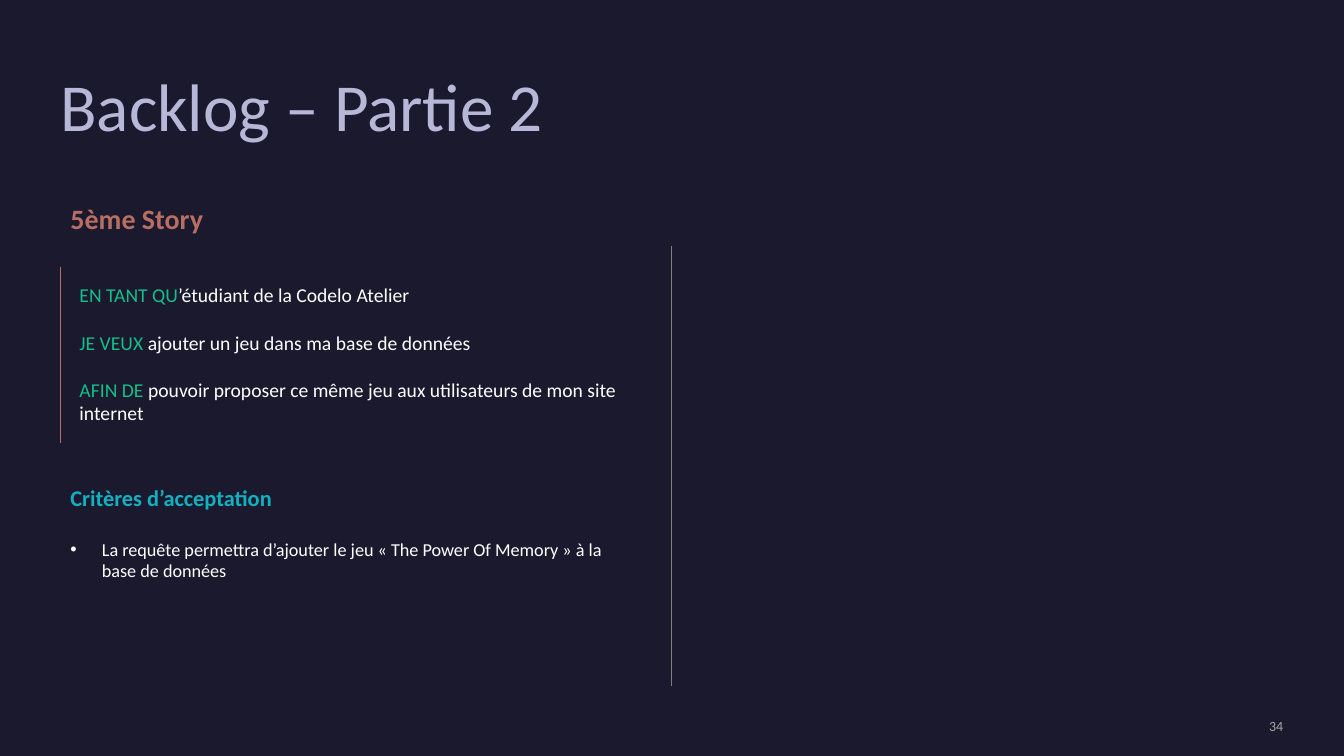
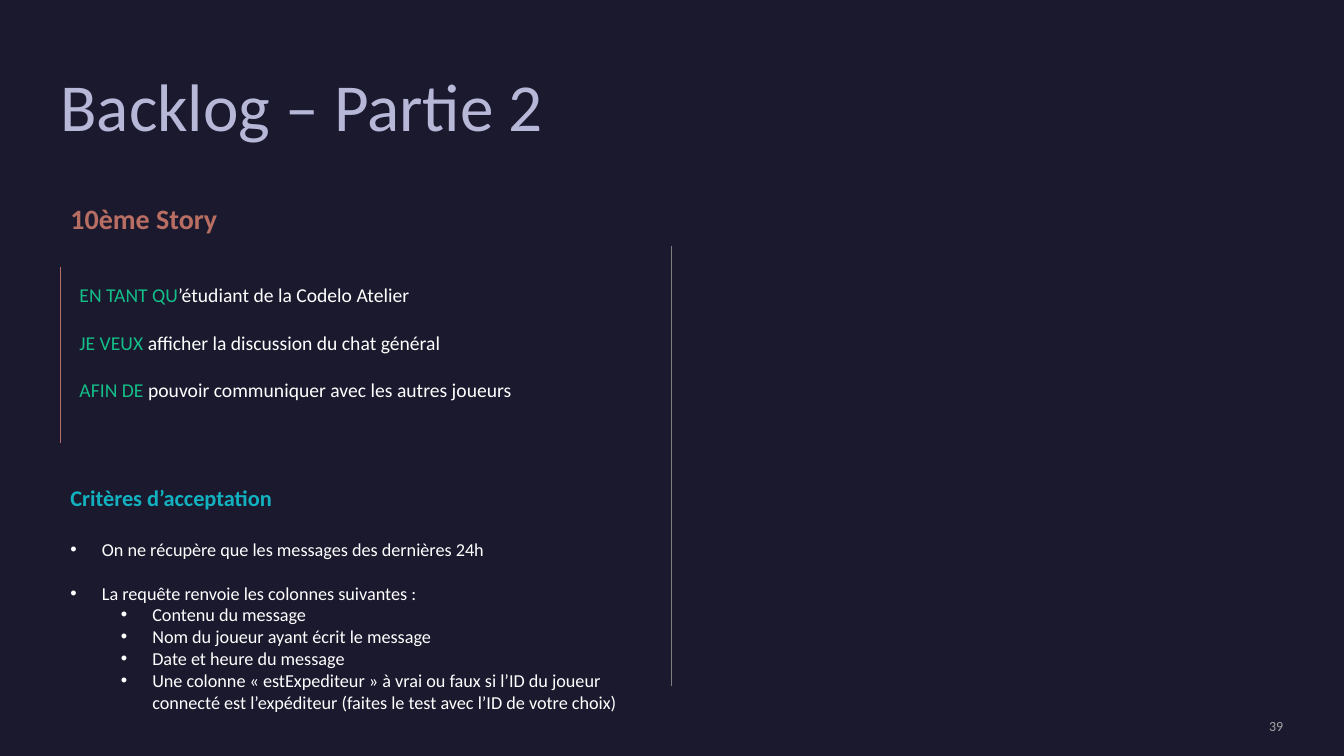
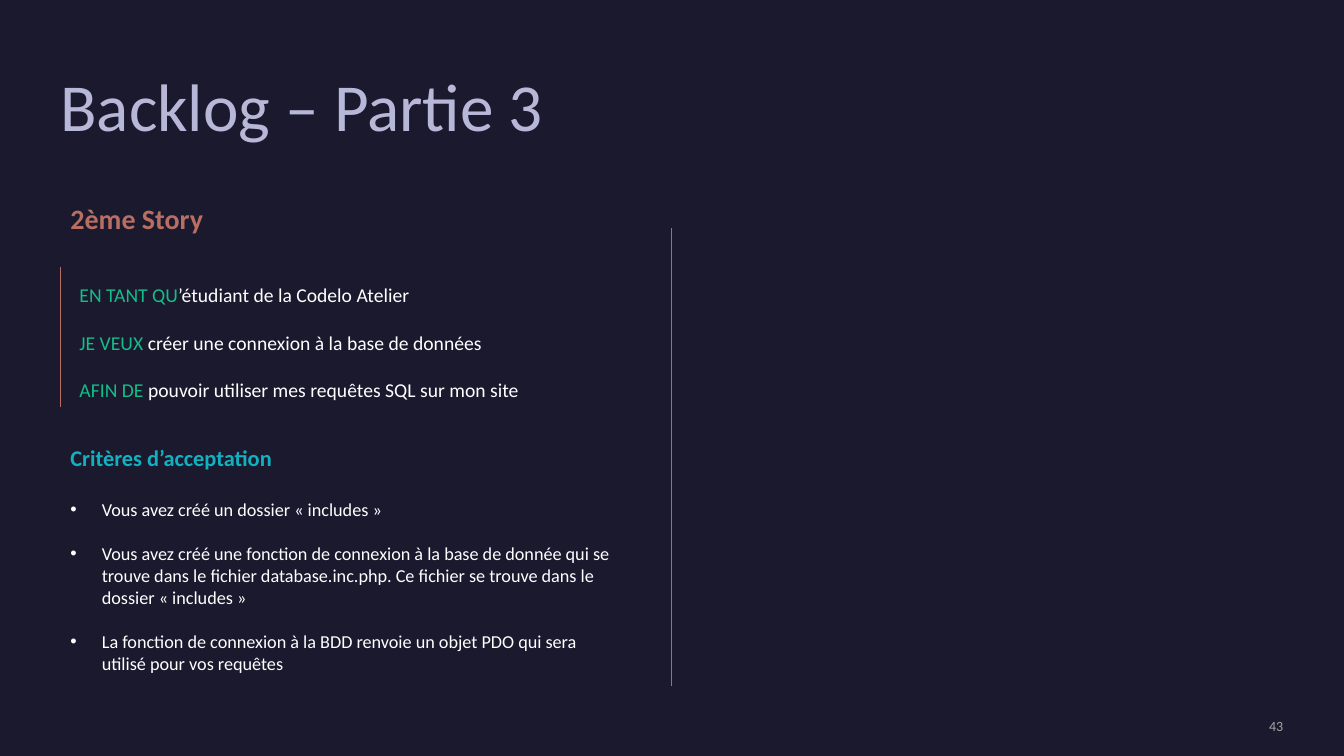
"""Build three dark backlog slides, each with one user story and its acceptance criteria."""
from lxml import etree
from pptx import Presentation
from pptx import util as u
from pptx.dml import color
from pptx.enum import shapes, text
from pptx.oxml import ns

Pt = u.Pt
NIGHT, LILAC, GREY, RULE = "1B192E", "B7B7D8", "A5A5A5", "7F7F7F"
RUST, GREEN, TEAL, WHITE = "B86E62", "13BE89", "12B1BF", "FFFFFF"
LEFT = 43.2
STARTS = ["EN TANT QU", "JE VEUX ", "AFIN DE "]
WHO = "’étudiant de la Codelo Atelier"

DECK = [
    dict(title="Backlog – Partie 2", page="34", name="5ème Story",
         story=[WHO, "ajouter un jeu dans ma base de données",
                "pouvoir proposer ce même jeu aux utilisateurs de mon site internet"],
         tall=108.7, bar=316.1, top=342, wide=408.2, deep=93.6, rule=175.7,
         items=[(0, "La requête permettra d’ajouter le jeu « The Power Of Memory » "
                    "à la base de données")]),
    dict(title="Backlog – Partie 2", page="39", name="10ème Story",
         story=[WHO, "afficher la discussion du chat général",
                "pouvoir communiquer avec les autres joueurs"],
         tall=92.2, bar=316.1, top=342, wide=424.1, deep=172.1, rule=175.7,
         items=[(0, "On ne récupère que les messages des dernières 24h"),
                (0, "La requête renvoie les colonnes suivantes :"),
                (1, "Contenu du message"),
                (1, "Nom du joueur ayant écrit le message"),
                (1, "Date et heure du message"),
                (1, "Une colonne « estExpediteur » à vrai ou faux si l’ID du joueur connecté "
                    "est l’expéditeur (faites le test avec l’ID de votre choix)")]),
    dict(title="Backlog – Partie 3", page="43", name="2ème Story",
         story=[WHO, "créer une connexion à la base de données",
                "pouvoir utiliser mes requêtes SQL sur mon site"],
         tall=92.2, bar=290.9, top=313.9, wide=408.2, deep=187.9, rule=162.7,
         items=[(0, "Vous avez créé un dossier « includes »"),
                (0, "Vous avez créé une fonction de connexion à la base de donnée qui se trouve "
                    "dans le fichier database.inc.php. Ce fichier se trouve dans le dossier "
                    "« includes »"),
                (0, "La fonction de connexion à la BDD renvoie un objet PDO qui sera utilisé "
                    "pour vos requêtes")]),
]


def hue(code):
    """Turn a hex string into a colour."""
    return color.RGBColor.from_string(code)


def write(slide, place, pad, paras):
    """Add a text box; each paragraph is a format dict and a list of (text, size, colour, bold)."""
    box = slide.shapes.add_textbox(*map(Pt, place))
    frame = box.text_frame
    look = dict(word_wrap=True, margin_left=Pt(2 * pad), margin_right=Pt(2 * pad),
                margin_top=Pt(pad), margin_bottom=Pt(pad))
    if pad:
        look["auto_size"] = text.MSO_AUTO_SIZE.SHAPE_TO_FIT_TEXT
    for key, val in look.items():
        setattr(frame, key, val)
    for n, (form, runs) in enumerate(paras):
        par = frame.add_paragraph() if n else frame.paragraphs[0]
        for key, val in form.items():
            setattr(par, key, val)
        for words, size, tint, bold in runs:
            run = par.add_run()
            run.text = words
            run.font.color.rgb = hue(tint)
            for key, val in dict(name="Calibri", size=Pt(size), bold=bold).items():
                setattr(run.font, key, val)
    return frame


prs = Presentation()
prs.slide_width, prs.slide_height = Pt(960), Pt(540)
fill = prs.slide_master.background.fill
fill.solid()
fill.fore_color.rgb = hue(NIGHT)

for card in DECK:
    slide = prs.slides.add_slide(prs.slide_layouts[6])

    write(slide, (LEFT, 52.56, 708.5, 123.1), 0,
          [(dict(line_spacing=0.9), [(card["title"], 48, LILAC, False)])])
    page = write(slide, (783.4, 512.6, 133.2, 12.24), 0,
                 [(dict(alignment=text.PP_ALIGN.RIGHT), [(card["page"], 10, GREY, False)])])
    page.vertical_anchor = text.MSO_ANCHOR.MIDDLE
    write(slide, (LEFT, 140.4, 461.5, 31.7), 3.6,
          [({}, [(card["name"], 20, RUST, True)])])

    story = [(dict(space_before=Pt(17 if n else 0)),
              [(start, 14, GREEN, False), (rest, 14, WHITE, False)])
             for n, (start, rest) in enumerate(zip(STARTS, card["story"]))]
    write(slide, (49.7, 198.7, 401.8, card["tall"]), 3.6, story)

    paras = [({}, [("Critères d’acceptation", 16, TEAL, True)])]
    for n, (level, words) in enumerate(card["items"]):
        gap = 19.5 if n == 0 else 0 if level else 15.8
        paras.append((dict(level=level, space_before=Pt(gap)), [(words, 13, WHITE, False)]))
    frame = write(slide, (LEFT, card["top"], card["wide"], card["deep"]), 3.6, paras)
    for par in frame.paragraphs[1:]:
        props = par._p.get_or_add_pPr()
        props.set("marL", str(Pt(22.5 + 36 * par.level)))
        props.set("indent", str(-Pt(22.5)))
        tint = etree.SubElement(props, ns.qn("a:buClr"))
        etree.SubElement(tint, ns.qn("a:srgbClr"), val=WHITE)
        etree.SubElement(props, ns.qn("a:buFont"), typeface="Arial")
        etree.SubElement(props, ns.qn("a:buChar"), char="•")

    for x, top, end, tint, width in [(LEFT, 190.8, card["bar"], RUST, 1),
                                     (480, card["rule"], 490.3, RULE, 0.75)]:
        line = slide.shapes.add_connector(shapes.MSO_CONNECTOR.STRAIGHT,
                                          *map(Pt, (x, top, x, end)))
        line.line.color.rgb = hue(tint)
        line.line.width = Pt(width)
        etree.SubElement(line._element.spPr, ns.qn("a:effectLst"))

prs.save("out.pptx")
